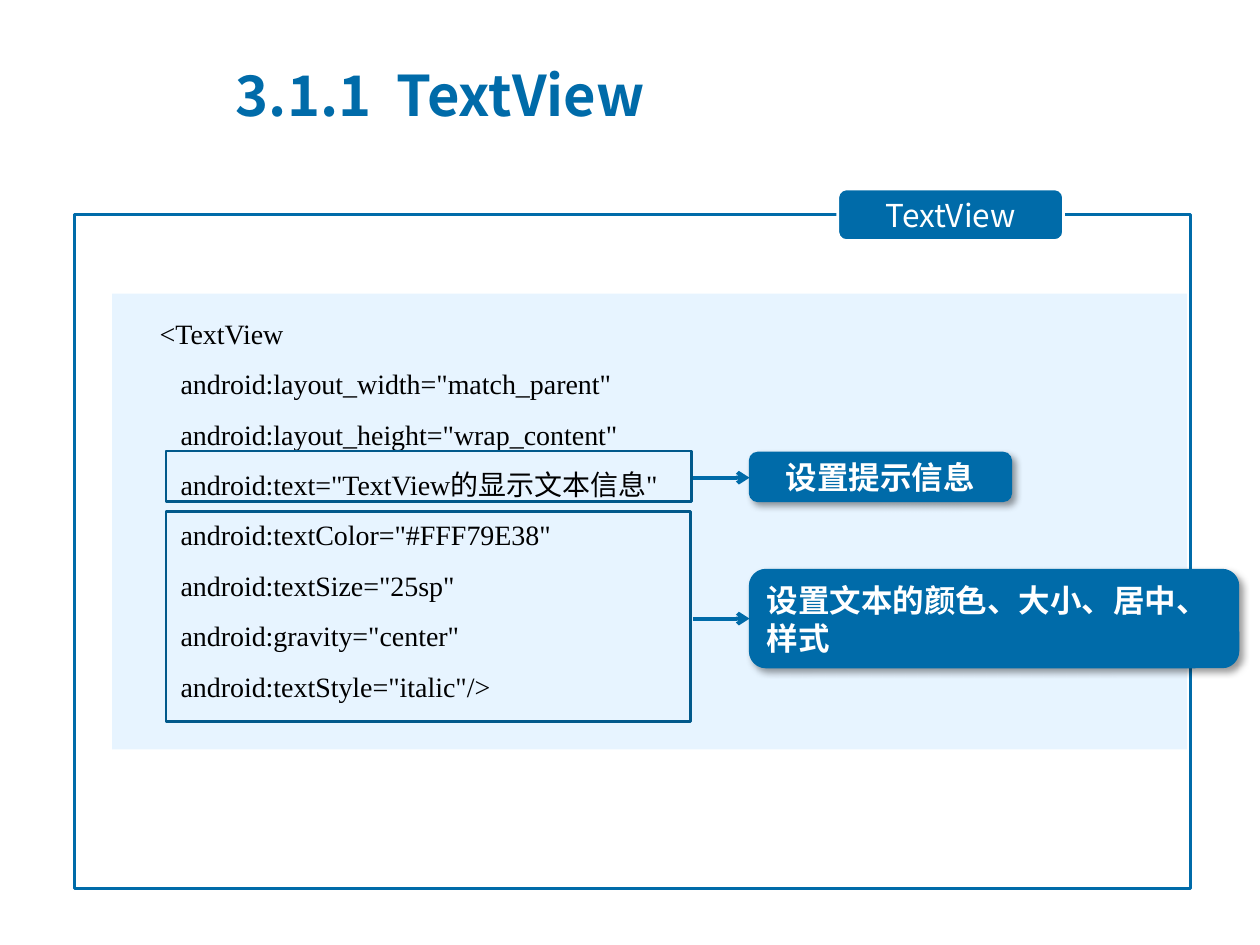
from lxml.etree import SubElement
from pptx import Presentation
from pptx.dml.color import RGBColor
from pptx.enum.shapes import MSO_CONNECTOR, MSO_SHAPE
from pptx.enum.text import MSO_ANCHOR as ANCHOR, PP_ALIGN as ALIGN
from pptx.oxml import parse_xml
from pptx.oxml.ns import nsdecls, qn
from pptx.util import Cm, Pt

BLUE, DARK, PALE, WHITE, BLACK = "006BA9", "01598B", "E7F4FF", "FFFFFF", "000000"
SANS, SERIF = "Noto Sans CJK SC", "Times New Roman"


def add_box(kind, box, fill=None, line=None, width=1.5):
    sp = s.shapes.add_shape(kind, *[Cm(v) for v in box])
    sp.shadow.inherit = False
    if fill:
        sp.fill.solid()
        sp.fill.fore_color.rgb = RGBColor.from_string(fill)
    else:
        sp.fill.background()
    if line:
        sp.line.color.rgb = RGBColor.from_string(line)
        sp.line.width = Pt(width)
    else:
        sp.line.fill.background()
    return sp


def style(p, size, font, color, bold=False, align=ALIGN.LEFT):
    p.alignment = align
    p.font.size, p.font.bold, p.font.name = Pt(size), bold, font
    p.font.color.rgb = RGBColor.from_string(color)
    SubElement(p.font._element, qn("a:ea")).set("typeface", SANS)


prs = Presentation()
prs.slide_width, prs.slide_height = Cm(25.4), Cm(19.05)
s = prs.slides.add_slide(prs.slide_layouts[5])

title = s.shapes.title
title.left, title.top, title.width, title.height = Cm(4.5), Cm(1.12), Cm(19.61), Cm(1.55)
title.text_frame.text = "3.1.1  TextView"
title.text_frame.vertical_anchor = ANCHOR.MIDDLE
style(title.text_frame.paragraphs[0], 32, SANS, BLUE, True)

add_box(MSO_SHAPE.RECTANGLE, (1.5, 4.32, 22.5, 13.59), line=BLUE)

tag = add_box(MSO_SHAPE.ROUNDED_RECTANGLE, (16.89, 3.81, 4.55, 1.04), BLUE, WHITE)
tag.text_frame.text = "TextView"
style(tag.text_frame.paragraphs[0], 18, SANS, WHITE, align=ALIGN.CENTER)

code = [
    "<TextView",
    'android:layout_width="match_parent"',
    'android:layout_height="wrap_content"',
    'android:text="TextView的显示文本信息"',
    'android:textColor="#FFF79E38"',
    'android:textSize="25sp"',
    'android:gravity="center"',
    'android:textStyle="italic"/>',
]
panel = add_box(MSO_SHAPE.RECTANGLE, (2.26, 5.92, 21.67, 9.19), PALE)
tf = panel.text_frame
tf.word_wrap = True
tf.vertical_anchor = ANCHOR.TOP
for i, text in enumerate(code):
    p = tf.paragraphs[0] if i == 0 else tf.add_paragraph()
    p.text = text
    p.line_spacing = 1.5
    style(p, 16, SERIF, BLACK)
    p._p.get_or_add_pPr().set("marL", str(Cm(1.13 if i else 0.71)))

notes = [
    ("设置提示信息", (3.35, 9.09, 10.59, 1.02), (15.11, 9.12, 5.28, 0.99), 9.63, "Arial", ALIGN.CENTER),
    ("设置文本的颜色、大小、居中、样式", (3.35, 10.31, 10.57, 4.24), (15.11, 11.48, 9.86, 1.98), 12.47, SERIF, ALIGN.LEFT),
]
for text, outline, callout, y, font, align in notes:
    add_box(MSO_SHAPE.RECTANGLE, outline, line=DARK)

    arrow = s.shapes.add_connector(MSO_CONNECTOR.STRAIGHT, Cm(13.97), Cm(y), Cm(15.11), Cm(y))
    arrow.line.color.rgb = RGBColor.from_string(BLUE)
    arrow.line.width = Pt(2.25)
    SubElement(arrow.line._get_or_add_ln(), qn("a:tailEnd")).set("type", "arrow")
    SubElement(arrow._element.spPr, qn("a:effectLst"))

    sp = add_box(MSO_SHAPE.ROUNDED_RECTANGLE, callout, BLUE, BLUE, 0.75)
    sp._element.spPr.find(qn("a:effectLst")).append(parse_xml(
        f'<a:outerShdw {nsdecls("a")} blurRad="{Pt(4)}" dist="{Pt(3)}" dir="2700000" algn="tl" rotWithShape="0">'
        f'<a:srgbClr val="{BLACK}"><a:alpha val="40000"/></a:srgbClr></a:outerShdw>'))
    sp.text_frame.word_wrap = True
    sp.text_frame.text = text
    style(sp.text_frame.paragraphs[0], 18, font, WHITE, True, align)

prs.save("out.pptx")
